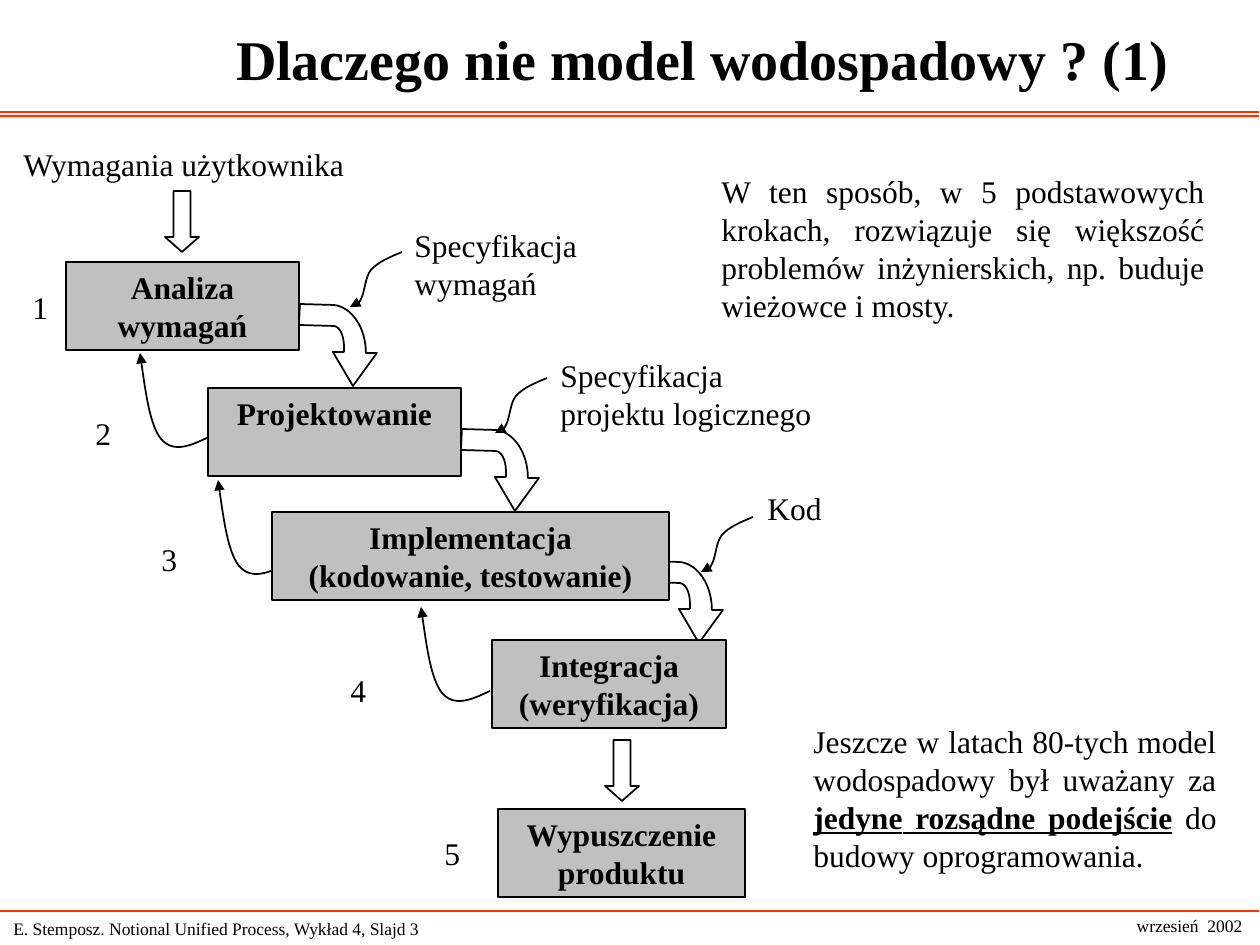
from pptx import Presentation
from pptx.dml.color import RGBColor
from pptx.enum.shapes import MSO_CONNECTOR, MSO_SHAPE
from pptx.enum.text import MSO_ANCHOR, MSO_AUTO_SIZE, PP_ALIGN
from pptx.oxml.ns import qn
from pptx.util import Emu, Pt
from lxml.etree import SubElement

PIXEL = 914400 / 126
BLACK, GREY, RED = "000000", "C0C0C0", "FF3300"
LEFT, CENTER, JUSTIFY = PP_ALIGN.LEFT, PP_ALIGN.CENTER, PP_ALIGN.JUSTIFY


def px(*lengths):
    return [Emu(round(length * PIXEL)) for length in lengths]


def write(frame, text, size, align, bold=False, anchor=MSO_ANCHOR.TOP, wrap=True):
    frame.text = text
    frame.word_wrap = wrap
    frame.auto_size = MSO_AUTO_SIZE.NONE
    frame.vertical_anchor = anchor
    for para in frame.paragraphs:
        para.alignment = align
        for span in para.runs:
            span.font.name = "Times New Roman"
            span.font.size = Pt(size)
            span.font.bold = bold
            span.font.color.rgb = RGBColor.from_string(BLACK)


deck = Presentation()
deck.slide_width, deck.slide_height = px(1260, 945)
page = deck.slides.add_slide(deck.slide_layouts[5])
shapes = page.shapes

title = shapes.title
title.left, title.top, title.width, title.height = px(146, 0, 1113, 116)
write(title.text_frame, "Dlaczego nie model wodospadowy ? (1)", 32, CENTER, True, MSO_ANCHOR.MIDDLE)

for y in (112, 116, 911):
    rule = shapes.add_connector(MSO_CONNECTOR.STRAIGHT, *px(0, y, 1259, y))
    rule.line.color.rgb = RGBColor.from_string(RED)
    rule.line.width = Pt(0.75)
    SubElement(rule._element.spPr, qn("a:effectLst"))

block_arrow = [
    [(1, 0)], [(35, 1)], [(53, 3), (67, 24), (67, 49)], [(78, 49)], [(54, 82)],
    [(34, 48)], [(45, 48)], [(46, 34), (42, 23), (35, 22)], [(0, 21)],
]
feedback = [[(69, 84)], [(52, 92), (34, 101), (21, 86)], [(10, 72), (5, 35), (0, 0)]]
pointer = [
    [(52, 0)], [(40, 5), (28, 10), (21, 18)],
    [(15, 25), (15, 40), (11, 47)], [(8, 53), (4, 54), (0, 55)],
]
curves = [
    (block_arrow, True, [(299, 304), (461, 429), (645, 561)]),
    (feedback, False, [(140, 353), (218, 480), (421, 607)]),
    (pointer, False, [(350, 252), (495, 378), (701, 517)]),
]
for segments, closed, origins in curves:
    for origin in origins:
        points = [point for segment in segments for point in segment]
        builder = shapes.build_freeform(*points[0], scale=PIXEL)
        builder.add_line_segments(points[1:], close=closed)
        curve = builder.convert_to_shape(*px(*origin))
        curve.shadow.inherit = False
        curve.fill.background()
        curve.line.color.rgb = RGBColor.from_string(BLACK)
        curve.line.width = Pt(1)
        steps = iter(list(curve._element.iter(qn("a:lnTo"))))
        for segment in segments[1:]:
            step = next(steps)
            if len(segment) == 3:
                step.tag = qn("a:cubicBezTo")
                for _ in range(2):
                    extra = next(steps)
                    step.append(extra[0])
                    extra.getparent().remove(extra)
        if not closed:
            SubElement(curve.line._get_or_add_ln(), qn("a:tailEnd"), type="triangle")

stages = [
    ("Analiza\nwymagań", 66, 262, 233),
    ("Projektowanie", 208, 388, 253),
    ("Implementacja\n(kodowanie, testowanie)", 272, 512, 397),
    ("Integracja\n(weryfikacja)", 492, 640, 234),
    ("Wypuszczenie produktu", 498, 809, 247),
]
for text, left, top, width in stages:
    stage = shapes.add_shape(MSO_SHAPE.RECTANGLE, *px(left, top, width, 88))
    stage.shadow.inherit = False
    stage.fill.solid()
    stage.fill.fore_color.rgb = RGBColor.from_string(GREY)
    stage.line.color.rgb = RGBColor.from_string(BLACK)
    stage.line.width = Pt(1)
    write(stage.text_frame, text, 18, CENTER, True)

for left, top in ((165, 191), (605, 740)):
    arrow = shapes.add_shape(MSO_SHAPE.DOWN_ARROW, *px(left, top, 34, 61))
    arrow.adjustments[1] = 0.44
    arrow.shadow.inherit = False
    arrow.fill.background()
    arrow.line.color.rgb = RGBColor.from_string(BLACK)
    arrow.line.width = Pt(1)

labels = [
    ("Wymagania użytkownika", 11, 139, 348, 50, LEFT, False),
    ("Specyfikacja\nwymagań", 402, 220, 199, 88, JUSTIFY, True),
    ("Specyfikacja\nprojektu logicznego", 548, 350, 323, 88, JUSTIFY, True),
    ("Kod", 755, 483, 106, 50, LEFT, True),
    ("W ten sposób, w 5 podstawowych krokach, rozwiązuje się większość "
     "problemów inżynierskich, np. buduje wieżowce i mosty.", 709, 166, 508, 164, JUSTIFY, True),
]
number_places = [(20, 282), (83, 408), (149, 534), (338, 665), (432, 828)]
for number, (left, top) in enumerate(number_places, 1):
    labels.append((str(number), left, top, 41, 50, LEFT, False))
for text, left, top, width, height, align, wrap in labels:
    label = shapes.add_textbox(*px(left, top, width, height))
    write(label.text_frame, text, 18, align, wrap=wrap)

closing = shapes.add_textbox(*px(801, 716, 428, 164))
write(closing.text_frame, "Jeszcze w latach 80-tych model wodospadowy był uważany za ", 18, JUSTIFY)
para = closing.text_frame.paragraphs[0]
for text, bold, underline in [
    ("jedyne", True, True), (" ", False, True), ("rozsądne", True, True),
    (" ", False, True), ("podejście", True, True), (" do budowy oprogramowania.", False, False),
]:
    span = para.add_run()
    span.text = text
    span.font.name = "Times New Roman"
    span.font.size = Pt(18)
    span.font.bold = bold
    span.font.underline = underline
    span.font.color.rgb = RGBColor.from_string(BLACK)

footers = [
    ("E. Stemposz. Notional Unified Process, Wykład 4, Slajd 3", 1, 911, 564, LEFT, True),
    ("wrzesień  2002", 1124, 909, 131, CENTER, False),
]
for text, left, top, width, align, wrap in footers:
    footer = shapes.add_textbox(*px(left, top, width, 34))
    write(footer.text_frame, text, 10, align, anchor=MSO_ANCHOR.MIDDLE, wrap=wrap)

deck.save("out.pptx")
